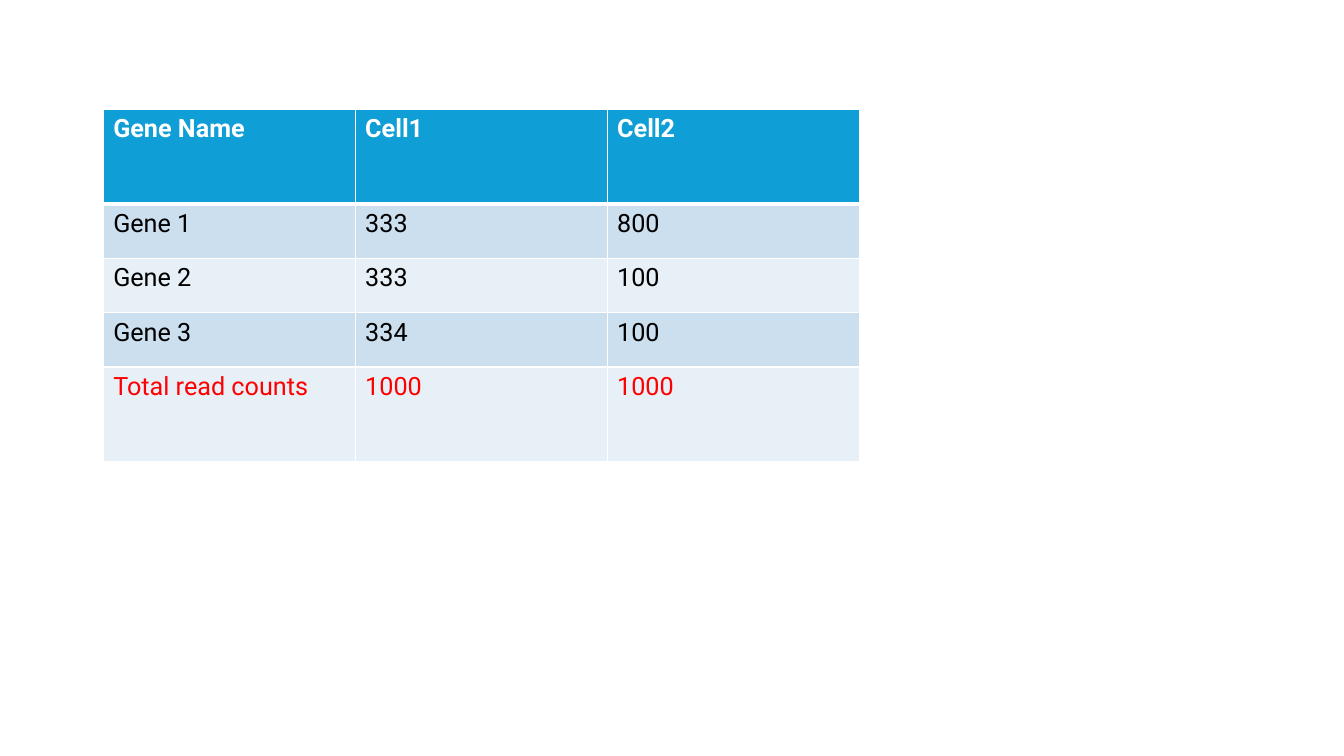
from lxml import etree
from pptx import Presentation
from pptx.dml.color import RGBColor
from pptx.oxml import ns
from pptx.util import Cm, Pt

ROWS = [
    ("Gene Name", "Cell1", "Cell2"),
    ("Gene 1", "333", "800"),
    ("Gene 2", "333", "100"),
    ("Gene 3", "334", "100"),
    ("Total read counts", "1000", "1000"),
]
HEAD, TOTAL = 0, len(ROWS) - 1
BANDS = ("E7F0F7", "CCDFEF")


def paint(fill, color):
    fill.solid()
    fill.fore_color.rgb = RGBColor.from_string(color)


def add_edge(cell, side, width):
    props = cell._tc.get_or_add_tcPr()
    line = etree.SubElement(props, ns.qn(f"a:ln{side}"), w=str(Pt(width)))
    solid = etree.SubElement(line, ns.qn("a:solidFill"))
    etree.SubElement(solid, ns.qn("a:srgbClr"), val="FFFFFF")


def fill_cell(cell, label, row):
    for side in "LRTB":
        thick = (row == HEAD and side == "B") or (row == HEAD + 1 and side == "T")
        add_edge(cell, side, 3 if thick else 1)
    paint(cell.fill, "0F9ED5" if row == HEAD else BANDS[row % 2])
    cell.text = label
    font = cell.text_frame.paragraphs[0].font
    font.name = "Roboto"
    font.size = Pt(18)
    font.bold = row == HEAD
    paint(font.fill, {HEAD: "FFFFFF", TOTAL: "FF0000"}.get(row, "000000"))


def add_counts(slide):
    frame = slide.shapes.add_table(
        len(ROWS), len(ROWS[0]), Cm(2.6), Cm(2.75), Cm(19.05), Cm(8.9)
    )
    table = frame.table
    for col in table.columns:
        col.width = Cm(6.35)
    for row, labels in enumerate(ROWS):
        table.rows[row].height = Cm(2.39 if row in (HEAD, TOTAL) else 1.37)
        for col, label in enumerate(labels):
            fill_cell(table.cell(row, col), label, row)


def main():
    deck = Presentation()
    deck.slide_width, deck.slide_height = Cm(33.87), Cm(19.05)
    slide = deck.slides.add_slide(deck.slide_layouts[6])
    add_counts(slide)
    deck.save("out.pptx")


if __name__ == "__main__":
    main()
